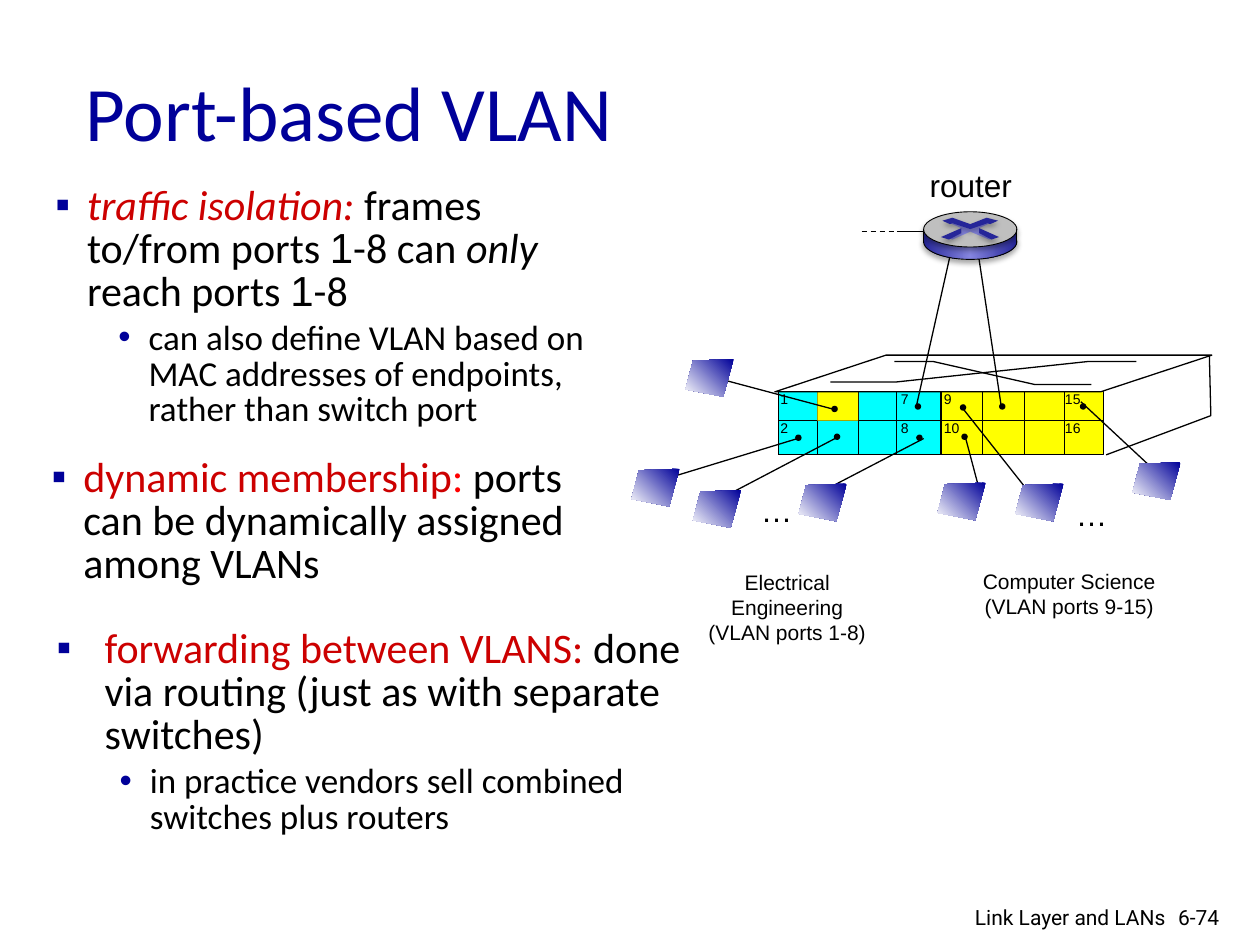
import copy

import pptx
import pptx.dml.color
import pptx.enum.dml
import pptx.enum.shapes
import pptx.enum.text
import pptx.oxml.ns
import pptx.util
from lxml import etree

Cm = pptx.util.Cm
Pt = pptx.util.Pt
RGB = pptx.dml.color.RGBColor
SHAPE = pptx.enum.shapes.MSO_SHAPE
ALIGN = pptx.enum.text.PP_ALIGN

BLACK = RGB(0x00, 0x00, 0x00)
WHITE = RGB(0xFF, 0xFF, 0xFF)
NAVY = RGB(0x00, 0x00, 0x99)
CRIMSON = RGB(0xCC, 0x00, 0x00)
RED = RGB(0xFF, 0x00, 0x00)
CYAN = RGB(0x00, 0xFF, 0xFF)
YELLOW = RGB(0xFF, 0xFF, 0x00)
GRAY = RGB(0xBF, 0xBF, 0xBF)
DARK = RGB(0x26, 0x26, 0x99)
LILAC = RGB(0x85, 0x85, 0xE0)

# Port grid of the switch, in cm
COLS = [15.7, 16.48, 17.3, 18.08, 18.97, 19.81, 20.65, 21.46, 22.25]
ROWS = [7.9, 8.48, 9.17]

# Each host: its corner, wire from port to host, dot in the port
HOSTS = [
    ((12.73, 9.45), (16.08, 8.84), (13.59, 9.6), (16.03, 8.76)),
    ((13.97, 9.88), (16.89, 8.81), (14.66, 9.98), (16.81, 8.74)),
    ((16.1, 9.75), (18.62, 8.84), (16.66, 9.86), (18.47, 8.76)),
    ((18.9, 9.73), (19.46, 8.81), (19.74, 9.86), (19.38, 8.74)),
    ((20.47, 9.75), (19.43, 8.26), (20.75, 9.93), (19.35, 8.15)),
    ((22.83, 9.32), (21.79, 8.1), (23.24, 9.45), (21.77, 8.13)),
    ((13.82, 7.24), (16.84, 8.26), (14.63, 7.67), (16.76, 8.18)),
]


def node(up, tag, **attrs):
    """Add a drawing element below another one."""
    item = etree.SubElement(up, pptx.oxml.ns.qn("a:" + tag))
    for key, val in attrs.items():
        item.set(key, str(val))
    return item


def shade(item):
    """Give a shape or line a soft shadow below it."""
    props = item._element.spPr
    for old in props.findall(pptx.oxml.ns.qn("a:effectLst")):
        props.remove(old)
    cast = node(node(props, "effectLst"), "outerShdw", blurRad=Pt(3.1),
                dist=Pt(1.8), dir=5400000, rotWithShape=0)
    node(node(cast, "srgbClr", val="000000"), "alpha", val=35000)


def paint(item, fill=None, line=None, angle=0, glow=False):
    """Set fill (one colour or gradient stops), line width and shadow."""
    item.shadow.inherit = False
    if fill is None:
        item.fill.background()
    elif isinstance(fill, list):
        item.fill.gradient()
        item.fill.gradient_angle = angle
        first = item.fill.gradient_stops[0]._gs
        for _ in fill[2:]:
            first.addnext(copy.deepcopy(first))
        last = len(fill) - 1
        for num, stop in enumerate(item.fill.gradient_stops):
            stop.color.rgb = fill[num]
            stop.position = num / last
    else:
        item.fill.solid()
        item.fill.fore_color.rgb = fill
    if line is None:
        item.line.fill.background()
    else:
        item.line.color.rgb = BLACK
        item.line.width = Pt(line)
    if glow:
        shade(item)
    return item


def block(slide, kind, box, **look):
    item = slide.shapes.add_shape(kind, *map(Cm, box))
    return paint(item, **look)


def outline(slide, dots, close=True, **look):
    pts = [(Cm(x), Cm(y)) for x, y in dots]
    form = slide.shapes.build_freeform(*pts[0])
    form.add_line_segments(pts[1:], close=close)
    return paint(form.convert_to_shape(), **look)


def wire(slide, start, end, width=0.75, dash=False, glow=False):
    item = slide.shapes.add_connector(
        pptx.enum.shapes.MSO_CONNECTOR.STRAIGHT, *map(Cm, start + end))
    item.line.color.rgb = BLACK
    item.line.width = Pt(width)
    if dash:
        item.line.dash_style = pptx.enum.dml.MSO_LINE.DASH
    if glow:
        shade(item)
    else:
        node(item._element.spPr, "effectLst")


def dot(slide, spot):
    block(slide, SHAPE.OVAL, spot + (0.13, 0.13), fill=BLACK)


def write(par, text, size=24, color=BLACK, font="Calibri", italic=False):
    run = par.add_run()
    run.text = text
    run.font.size = Pt(size)
    run.font.name = font
    run.font.italic = italic
    run.font.color.rgb = color


def label(slide, box, *lines, wrap=False, align=ALIGN.LEFT, **form):
    frame = slide.shapes.add_textbox(*map(Cm, box)).text_frame
    frame.word_wrap = wrap
    for num, text in enumerate(lines):
        par = frame.add_paragraph() if num else frame.paragraphs[0]
        par.alignment = align
        write(par, text, **form)


def place(item, box):
    item.left, item.top, item.width, item.height = map(Cm, box)
    item.text_frame.word_wrap = True
    item.text_frame.auto_size = pptx.enum.text.MSO_AUTO_SIZE.NONE
    return item.text_frame


def bullet(par, mark, left, hang, before=0):
    par.alignment = ALIGN.LEFT
    par.line_spacing = 0.85
    par.space_before = Pt(before)
    props = par._p.get_or_add_pPr()
    props.set("marL", str(Cm(left)))
    props.set("indent", str(-Cm(hang)))
    node(node(props, "buClr"), "srgbClr", val=NAVY)
    node(props, "buFont", typeface="Arial")
    node(props, "buChar", char=mark)


def point(frame, runs, hang=0.64, sub=None):
    """Write one main point with an optional point below it."""
    par = frame.paragraphs[0]
    bullet(par, "▪", hang, hang)
    for text, form in runs:
        write(par, text, **form)
    if sub:
        low = frame.add_paragraph()
        low.level = 1
        bullet(low, "•", 1.88, 0.61, before=4)
        write(low, sub, size=20)


def prose(slide):
    title = place(slide.shapes.title, (1.47, 0.64, 21.59, 3.18))
    title.vertical_anchor = pptx.enum.text.MSO_ANCHOR.MIDDLE
    title.paragraphs[0].alignment = ALIGN.LEFT
    write(title.paragraphs[0], "Port-based VLAN", size=44, color=NAVY)

    one = {"font": "Arial"}
    body = place(slide.placeholders[1], (0.86, 3.63, 11.81, 4.9))
    point(body, [
        ("traffic isolation: ", {"color": CRIMSON, "italic": True}),
        ("frames to/from ports ", {}), ("1", one), ("-8 can ", {}),
        ("only", {"italic": True}), (" reach ports ", {}), ("1", one), ("-8", {}),
    ], sub="can also define VLAN based on MAC addresses of endpoints, "
           "rather than switch port")
    box = (0.79, 9.12, 11.28, 4.47)
    point(place(slide.shapes.add_textbox(0, 0, 0, 0), box), [
        ("dynamic membership", {"color": CRIMSON}), (":", {"color": RED}),
        (" ports can be dynamically assigned among VLANs", {})])
    box = (0.89, 12.57, 13.89, 4.47)
    point(place(slide.shapes.add_textbox(0, 0, 0, 0), box), [
        ("forwarding between VLANS: ", {"color": CRIMSON}),
        ("done via routing (just as with separate switches)", {}),
    ], hang=0.97, sub="in practice vendors sell combined switches plus routers")


def cells(slide, first, last, top, low, **look):
    x, y = COLS[first], ROWS[top]
    block(slide, SHAPE.RECTANGLE, (x, y, COLS[last] - x, ROWS[low] - y), **look)


def switch(slide):
    # Port colours, frame and dividers
    for first, last, top, low, color in [
            (0, 1, 0, 1, CYAN), (0, 1, 1, 2, CYAN), (1, 4, 0, 2, CYAN),
            (4, 7, 0, 2, YELLOW), (7, 8, 0, 1, YELLOW), (7, 8, 1, 2, YELLOW)]:
        cells(slide, first, last, top, low, fill=color)
    cells(slide, 0, 8, 0, 2, line=0.75)
    wire(slide, (COLS[0], ROWS[1]), (COLS[-1], ROWS[1]))
    for x in COLS[:-1]:
        wire(slide, (x, ROWS[0]), (x, ROWS[2]))
    cells(slide, 1, 2, 0, 1, fill=YELLOW)
    # Top and side of the case
    lid = block(slide, SHAPE.PARALLELOGRAM, (15.62, 7.16, 8.81, 0.74),
                fill=WHITE, line=0.75)
    lid.adjustments[0] = 3.03
    for dots in [
            [(22.3, 9.17), (24.41, 8.38), (24.38, 7.16)],
            [(16.74, 7.7), (18.08, 7.7), (21.92, 7.29), (22.91, 7.29)],
            [(18.03, 7.29), (18.82, 7.29), (20.85, 7.75), (22, 7.75)]]:
        outline(slide, dots, close=False, line=0.75)
    # Port numbers
    for x, pair in [(15.48, "1 2"), (17.91, "7 8"), (18.78, "9 10"), (21.22, "15 16")]:
        for y, text in zip((7.75, 8.34), pair.split()):
            wide = 0.66 if len(text) == 1 else 0.84
            label(slide, (x, y, wide, 0.58), text, size=8, font="Arial")


def hosts(slide):
    rim = [(0.97, 0), (0.15, 0.03), (0, 0.61), (0.76, 0.76)]
    for spot, start, end, port in HOSTS:
        wire(slide, start, end)
        dot(slide, port)
        outline(slide, [(spot[0] + x, spot[1] + y) for x, y in rim],
                fill=[NAVY, WHITE], angle=225)
    for spot in [(15.09, 9.78), (21.44, 9.86)]:
        label(slide, spot + (1.14, 1.02), "…", size=18, font="Arial")
    form = {"size": 12, "font": "Arial", "align": ALIGN.CENTER}
    label(slide, (13.84, 11.35, 4.06, 1.9), "Electrical Engineering",
          "(VLAN ports 1-8)", wrap=True, **form)
    label(slide, (19.56, 11.33, 3.99, 1.27), "Computer Science",
          "(VLAN ports 9-15)", **form)


def router(slide):
    label(slide, (18.49, 3.23, 2.18, 1.02), "router", size=18, font="Arial")
    # Links to the switch and outside
    for spot in [(18.44, 8.13), (20.14, 8.13)]:
        dot(slide, spot)
    wire(slide, (18.47, 8.2), (19.18, 5.03))
    wire(slide, (20.19, 8.23), (19.71, 5.05))
    wire(slide, (18.08, 4.67), (18.8, 4.67))
    wire(slide, (17.37, 4.67), (18.06, 4.67), dash=True)
    # Drum
    metal = [DARK, LILAC, DARK]
    block(slide, SHAPE.OVAL, (18.62, 4.52, 1.88, 0.71), fill=metal, line=0.5, glow=True)
    block(slide, SHAPE.RECTANGLE, (18.62, 4.62, 1.88, 0.25), fill=metal)
    block(slide, SHAPE.OVAL, (18.62, 4.27, 1.88, 0.71), fill=GRAY, line=0.5, glow=True)
    # Crossed arrows
    outline(slide, [
        (19.56, 4.67), (19.2, 4.83), (19.1, 4.8), (19.38, 4.7), (19.38, 4.6),
        (19.15, 4.5), (19.23, 4.5), (19.56, 4.62), (19.89, 4.47), (19.96, 4.5),
        (19.74, 4.6), (19.79, 4.72), (20.02, 4.8), (19.94, 4.83)], fill=LILAC)
    for dots in [
            [(19, 4.45), (19.2, 4.39), (19.56, 4.52), (19.89, 4.39), (20.12, 4.45),
             (19.96, 4.52), (19.91, 4.5), (19.56, 4.62), (19.2, 4.5), (19.15, 4.52)],
            [(19.74, 4.6), (20.14, 4.78), (19.99, 4.83), (19.74, 4.7)],
            [(19.38, 4.6), (19.38, 4.7), (19.13, 4.83), (18.97, 4.78)]]:
        outline(slide, dots, fill=DARK, glow=True)
    for x in (18.62, 20.5):
        wire(slide, (x, 4.9), (x, 4.62), width=0.5, glow=True)


def main():
    deck = pptx.Presentation()
    deck.slide_width, deck.slide_height = Cm(25.4), Cm(19.05)
    slide = deck.slides.add_slide(deck.slide_layouts[1])
    switch(slide)
    hosts(slide)
    prose(slide)
    router(slide)
    # Footer
    form = {"size": 12, "font": "Roboto", "wrap": True}
    label(slide, (23.5, 18.11, 1.52, 0.76), "6-74", **form)
    label(slide, (17.7, 18.11, 6.05, 0.66), "Link Layer and LANs",
          align=ALIGN.RIGHT, **form)
    deck.save("out.pptx")


if __name__ == "__main__":
    main()
